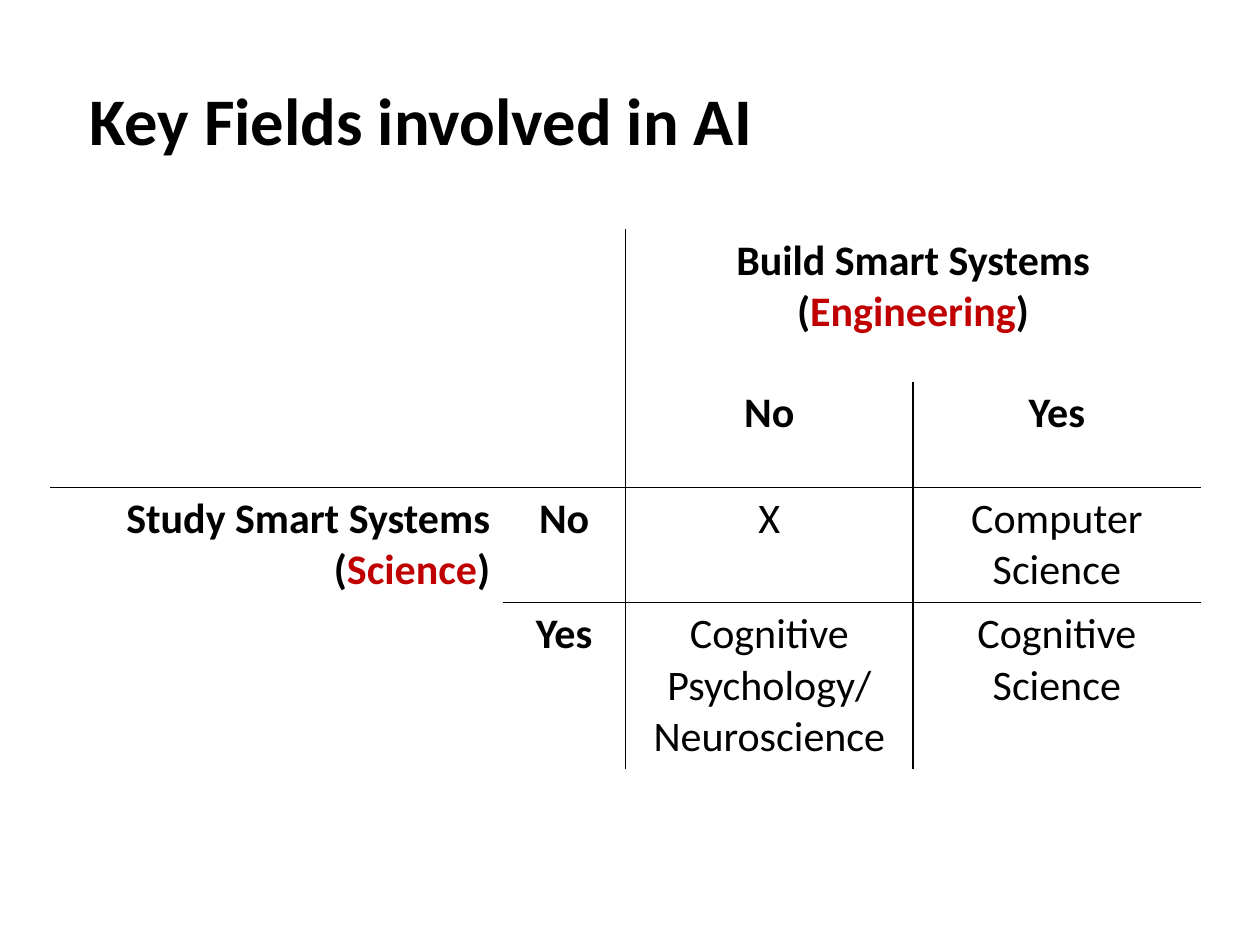
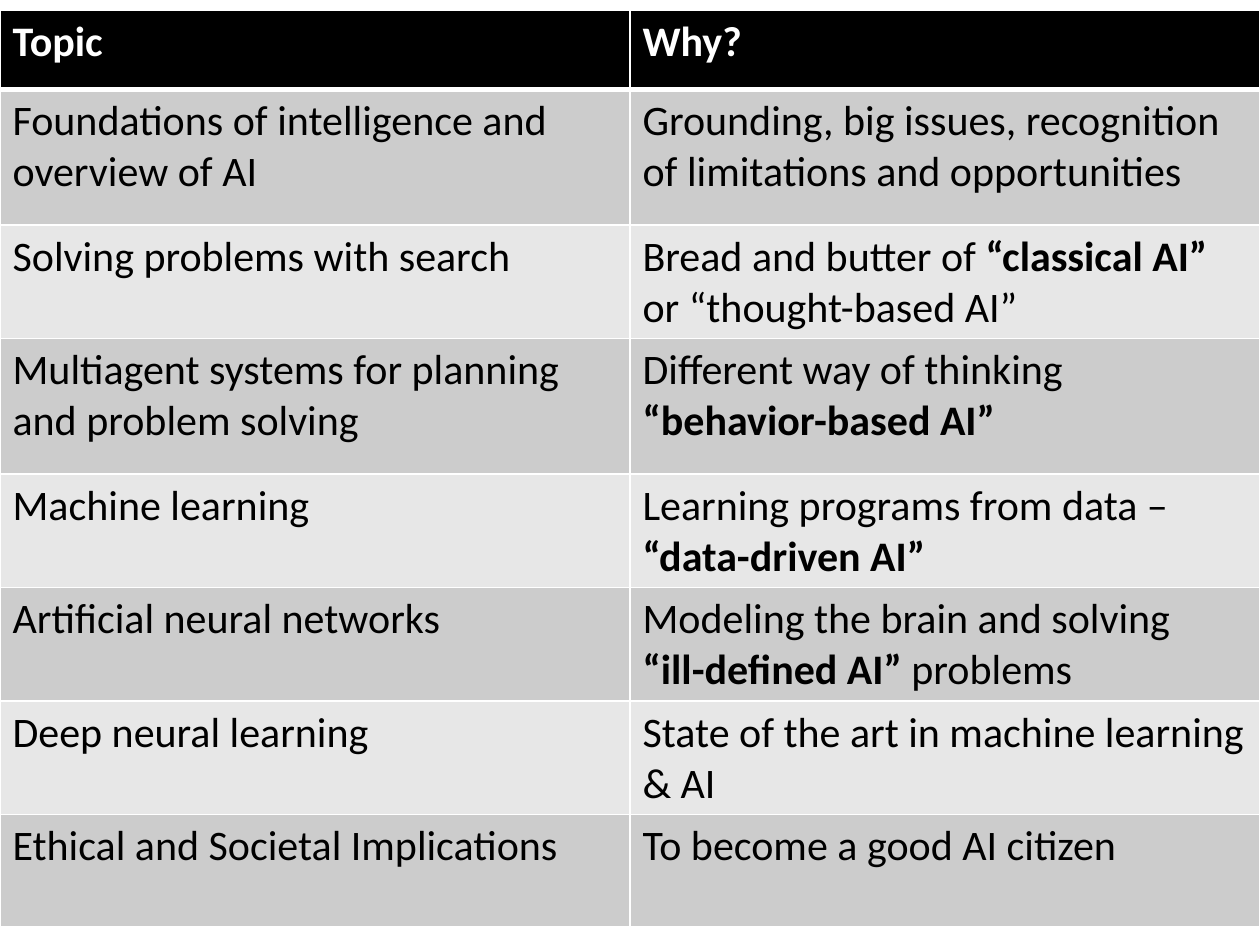
from lxml import etree
from pptx import Presentation
from pptx.dml.color import RGBColor
from pptx.enum.text import MSO_ANCHOR, PP_ALIGN
from pptx.oxml.ns import qn
from pptx.util import Pt

LEFT, CENTER, RIGHT = PP_ALIGN.LEFT, PP_ALIGN.CENTER, PP_ALIGN.RIGHT
BOTTOM = MSO_ANCHOR.BOTTOM
FONT = "Calibri"
BLACK, WHITE, RED = "000000", "FFFFFF", "C00000"
DARK_BAND, LIGHT_BAND = "CCCCCC", "E7E7E7"
NO_STYLE = "{2D5ABB26-0587-4C30-8999-92F81FD0307C}"


def write(tf, text, size=24, color=BLACK, bold=False, align=LEFT, accent=BLACK):
    """Fill tf: newline = paragraph, \\v = line break, *...* = bold accent."""
    for i, line in enumerate(text.split("\n")):
        p = tf.paragraphs[0] if i == 0 else tf.add_paragraph()
        p.alignment = align
        for j, part in enumerate(line.split("*")):
            marked = j % 2 == 1
            for k, piece in enumerate(part.split("\v")):
                if k:
                    p.add_line_break()
                if piece:
                    r = p.add_run()
                    r.text = piece
                    r.font.name, r.font.size = FONT, Pt(size)
                    r.font.bold = bold or marked
                    r.font.color.rgb = RGBColor.from_string(accent if marked else color)


def set_borders(cell, color, widths):
    """Draw the cell's edges; widths maps L, R, T, B (in that order) to points."""
    tcPr = cell._tc.get_or_add_tcPr()
    for side, width in widths.items():
        ln = etree.SubElement(tcPr, qn("a:ln" + side), w=str(Pt(width)))
        if width:
            fill = etree.SubElement(ln, qn("a:solidFill"))
            etree.SubElement(fill, qn("a:srgbClr"), val=color)
        else:
            etree.SubElement(ln, qn("a:noFill"))


prs = Presentation()
prs.slide_width, prs.slide_height = Pt(720), Pt(540)
blank = prs.slide_layouts[6]

# Both slides: a plain table at left, top with given column and row sizes
slides, tables = [], []
for left, top, cols, rows in [
    (28.8, 131, [258.5, 70.2, 164.3, 164.3], [87.1, 60.5, 60.5, 87.1]),
    (0, 6, [360, 360], [45, 77.5, 64, 77.5, 64, 64, 64, 64]),
]:
    s = prs.slides.add_slide(blank)
    frame = s.shapes.add_table(len(rows), len(cols), Pt(left), Pt(top),
                               Pt(sum(cols)), Pt(sum(rows)))
    table = frame.table
    table.first_row = table.horz_banding = False
    table._tbl.tblPr.find(qn("a:tableStyleId")).text = NO_STYLE
    for column, width in zip(table.columns, cols):
        column.width = Pt(width)
    for row, height in zip(table.rows, rows):
        row.height = Pt(height)
    slides.append(s)
    tables.append(table)

# Slide 1: title
box = slides[0].shapes.add_textbox(Pt(44), Pt(19.5), Pt(630), Pt(75))
tf = box.text_frame
tf.word_wrap = True
tf.vertical_anchor = BOTTOM
write(tf, "Key Fields involved in AI", size=38, bold=True)

# Slide 1: fields by science (rows) and engineering (columns)
fields = [
    ["", "", "Build Smart Systems (*Engineering*)", ""],
    ["", "", "No", "Yes"],
    ["Study Smart Systems (*Science*)", "No", "X", "Computer Science"],
    ["", "Yes", "Cognitive Psychology/\vNeuroscience", "Cognitive Science"],
]
matrix = tables[0]
matrix.cell(0, 2).merge(matrix.cell(0, 3))
matrix.cell(2, 0).merge(matrix.cell(3, 0))
for r, texts in enumerate(fields):
    for c, text in enumerate(texts):
        cell = matrix.cell(r, c)
        set_borders(cell, BLACK, {
            "L": int(c == 2 or (c == 3 and r > 0)),
            "R": int(c == 1 or (c == 2 and r > 0)),
            "T": int(r == 2 or (r == 3 and c > 0)),
            "B": int(r == 1 or (r == 2 and c > 0)),
        })
        cell.fill.background()
        if text:
            write(cell.text_frame, text, bold=r < 2 or c < 2,
                  align=RIGHT if c == 0 else CENTER, accent=RED)

# Slide 2: course topics with reasons
topics = [
    ("Topic", "Why?"),
    ("Foundations of intelligence and overview of AI",
     "Grounding, big issues, recognition of limitations and opportunities"),
    ("Solving problems with search",
     "Bread and butter of *“classical AI” *or “thought-based AI”"),
    ("Multiagent systems for planning\nand problem solving",
     "Different way of thinking *“behavior-based AI”*"),
    ("Machine learning", "Learning programs from data – *“data-driven AI”*"),
    ("Artificial neural networks",
     "Modeling the brain and solving \v*“ill-defined AI”* problems"),
    ("Deep neural learning", "State of the art in machine learning & AI"),
    ("Ethical and Societal Implications", "To become a good AI citizen"),
]
for r, texts in enumerate(topics):
    header = r == 0
    band = BLACK if header else DARK_BAND if r % 2 else LIGHT_BAND
    for c, text in enumerate(texts):
        cell = tables[1].cell(r, c)
        set_borders(cell, WHITE, {"L": 1, "R": 1, "T": 3 if r == 1 else 1,
                                  "B": 3 if header else 1})
        cell.fill.solid()
        cell.fill.fore_color.rgb = RGBColor.from_string(band)
        write(cell.text_frame, text, color=WHITE if header else BLACK, bold=header)

prs.save("out.pptx")
